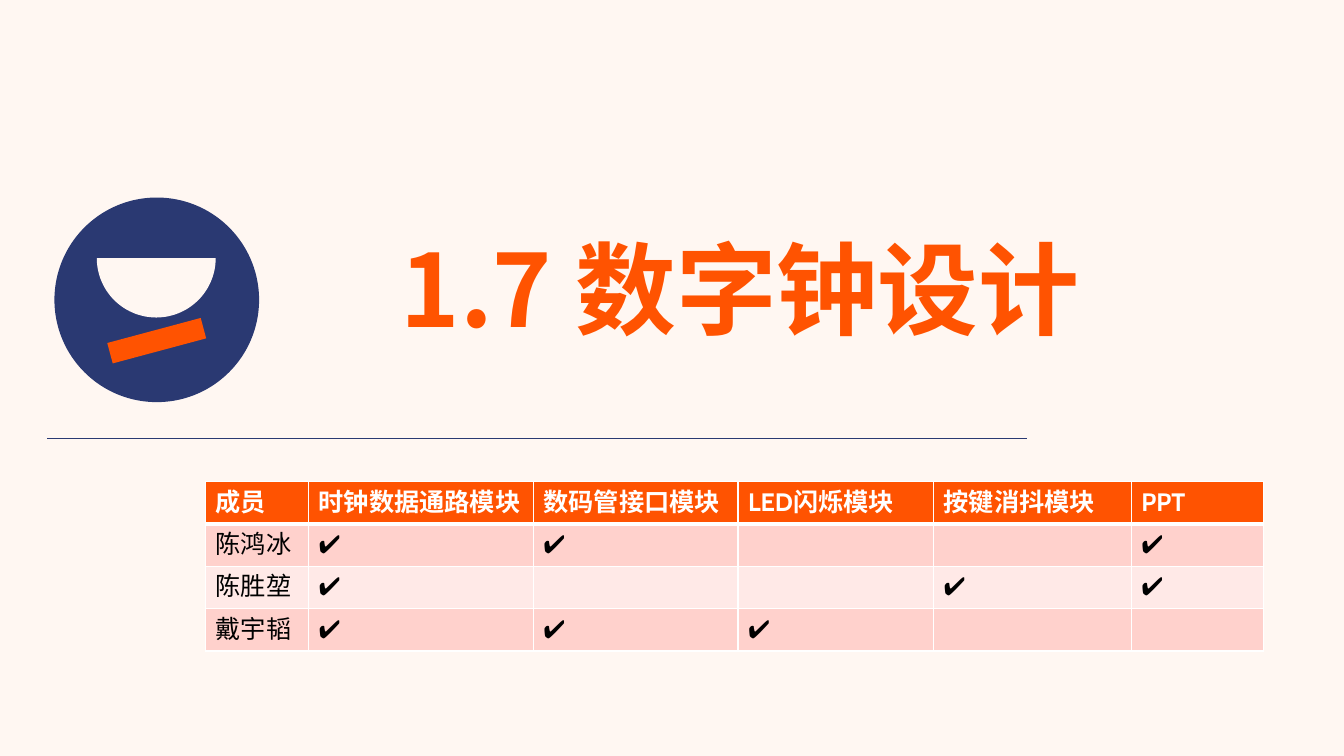
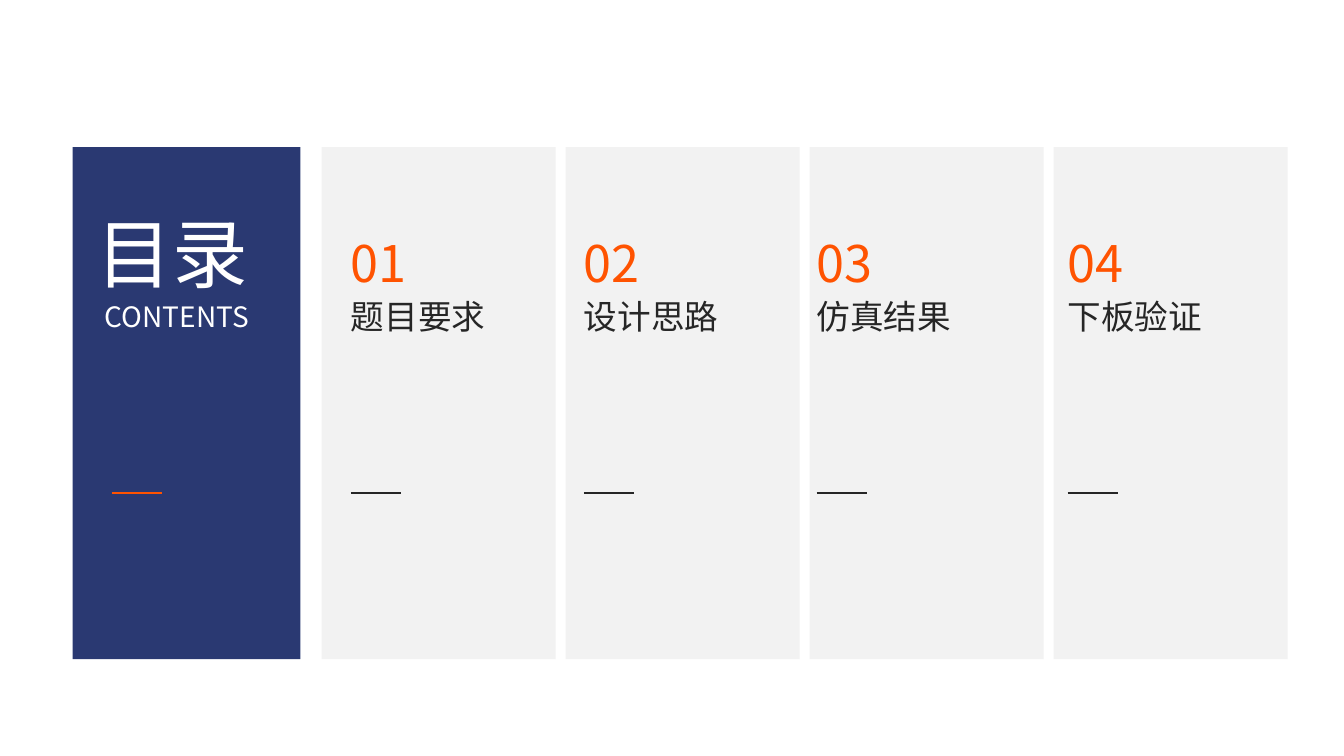
import math
from dataclasses import dataclass

import lxml.etree
import pptx
import pptx.dml.color
import pptx.enum.shapes
import pptx.enum.text
import pptx.oxml.ns
import pptx.util

Inches = pptx.util.Inches
Pt = pptx.util.Pt
qn = pptx.oxml.ns.qn
Shape = pptx.enum.shapes.MSO_SHAPE


@dataclass(frozen=True)
class Theme:
    navy: str = "2A3972"
    orange: str = "FF5301"
    cream: str = "FFF7F2"
    white: str = "FFFFFF"
    black: str = "000000"
    ink: str = "262626"
    card: str = "F2F2F2"
    bands: tuple = ("FFD1CC", "FFE9E7")
    title_font: str = "Noto Sans CJK SC"
    table_font: str = "Cabin"
    contents_font: str = "Noto Sans CJK JP"
    title_size: int = 72
    heading_size: int = 54
    number_size: int = 36
    label_size: int = 24
    caption_size: int = 20
    table_size: int = 18


THEME = Theme()

TITLE = "1.7 数字钟设计"
MODULES = ["时钟数据通路模块", "数码管接口模块", "LED闪烁模块", "按键消抖模块", "PPT"]
MEMBERS = [
    ("陈鸿冰", {0, 1, 4}),
    ("陈胜堃", {0, 3, 4}),
    ("戴宇韬", {0, 1, 2}),
]
COLUMN_WIDTHS = [1.02, 2.23, 2.03, 1.94, 1.96, 1.31]
ROW_HEIGHT = 0.42

HEADING = "目录"
CAPTION = "CONTENTS"
SECTIONS = [
    ("题目要求", 3.48),
    ("设计思路", 5.79),
    ("仿真结果", 8.1),
    ("下板验证", 10.59),
]
CARD_LEFT, CARD_TOP, CARD_WIDTH, CARD_HEIGHT, CARD_GAP = 3.19, 1.46, 2.32, 5.08, 0.1
DASH_TOP, DASH_WIDTH = 4.89, 0.5


def rgb(color):
    return pptx.dml.color.RGBColor.from_string(color)


def add_page(deck, color):
    page = deck.slides.add_slide(deck.slide_layouts[6])
    page.background.fill.solid()
    page.background.fill.fore_color.rgb = rgb(color)
    return page


def paint(shape, color):
    shape.shadow.inherit = False
    shape.fill.solid()
    shape.fill.fore_color.rgb = rgb(color)
    shape.line.fill.background()
    return shape


def add_block(page, kind, color, *bounds):
    return paint(page.shapes.add_shape(kind, *map(Inches, bounds)), color)


def add_half_disc(page, color, center_x, top, radius, steps=60):
    points = [
        (Inches(center_x + radius * math.cos(math.pi * step / steps)),
         Inches(top + radius * math.sin(math.pi * step / steps)))
        for step in range(steps + 1)
    ]
    outline = page.shapes.build_freeform(*points[0])
    outline.add_line_segments(points[1:], close=True)
    paint(outline.convert_to_shape(), color)


def add_rule(page, color, left, right, top):
    rule = page.shapes.add_connector(
        pptx.enum.shapes.MSO_CONNECTOR.STRAIGHT,
        Inches(left), Inches(top), Inches(right), Inches(top))
    rule.line.color.rgb = rgb(color)
    rule.line.width = Pt(1)
    lxml.etree.SubElement(rule._element.spPr, qn("a:effectLst"))


def style_span(span, font, size, color, bold=False):
    span.font.name = font
    span.font.size = Pt(size)
    span.font.bold = bold
    span.font.color.rgb = rgb(color)
    east_asian = lxml.etree.Element(qn("a:ea"), typeface=font)
    span._r.get_or_add_rPr().find(qn("a:latin")).addnext(east_asian)


def add_label(page, text, size, color, bounds, line_spacing=None):
    frame = page.shapes.add_textbox(*map(Inches, bounds)).text_frame
    frame.word_wrap = True
    frame.vertical_anchor = pptx.enum.text.MSO_ANCHOR.MIDDLE
    frame.margin_left = frame.margin_right = frame.margin_top = frame.margin_bottom = 0
    frame.text = text
    para = frame.paragraphs[0]
    para.line_spacing = line_spacing
    style_span(para.runs[0], THEME.contents_font, size, color)


def add_title(page):
    box = page.shapes.add_textbox(Inches(3.72), Inches(2.2), Inches(7.24), Inches(1.31))
    frame = box.text_frame
    frame.word_wrap = False
    frame.auto_size = pptx.enum.text.MSO_AUTO_SIZE.SHAPE_TO_FIT_TEXT
    frame.text = TITLE
    para = frame.paragraphs[0]
    para.alignment = pptx.enum.text.PP_ALIGN.CENTER
    style_span(para.runs[0], THEME.title_font, THEME.title_size, THEME.orange, True)


def set_borders(cell, widths):
    properties = cell._tc.get_or_add_tcPr()
    for side, width in zip("LRTB", widths):
        border = lxml.etree.SubElement(properties, qn(f"a:ln{side}"), w=str(Pt(width)))
        fill = lxml.etree.SubElement(border, qn("a:solidFill"))
        lxml.etree.SubElement(fill, qn("a:srgbClr"), val=THEME.white)


def add_member_table(page):
    rows = [["成员"] + MODULES]
    for name, tasks in MEMBERS:
        rows.append([name] + ["✔" if index in tasks else "" for index in range(len(MODULES))])
    table = page.shapes.add_table(
        len(rows), len(COLUMN_WIDTHS), Inches(2.04), Inches(4.78),
        Inches(sum(COLUMN_WIDTHS)), Inches(ROW_HEIGHT * len(rows))).table
    for column, width in zip(table.columns, COLUMN_WIDTHS):
        column.width = Inches(width)
    for row_index, row in enumerate(rows):
        table.rows[row_index].height = Inches(ROW_HEIGHT)
        header = row_index == 0
        fill = THEME.orange if header else THEME.bands[(row_index - 1) % 2]
        color = THEME.white if header else THEME.black
        widths = (1, 1, 3 if row_index == 1 else 1, 3 if header else 1)
        for column_index, text in enumerate(row):
            cell = table.cell(row_index, column_index)
            set_borders(cell, widths)
            cell.fill.solid()
            cell.fill.fore_color.rgb = rgb(fill)
            cell.text_frame.text = text
            para = cell.text_frame.paragraphs[0]
            para.font.size = Pt(THEME.table_size)
            for span in para.runs:
                style_span(span, THEME.table_font, THEME.table_size, color, header)


def build_cover(deck):
    page = add_page(deck, THEME.cream)
    add_rule(page, THEME.navy, 0.47, 10.19, 4.35)
    add_block(page, Shape.OVAL, THEME.navy, 0.54, 1.96, 2.03, 2.03)
    add_half_disc(page, THEME.cream, 1.55, 2.56, 0.59)
    bar = add_block(page, Shape.RECTANGLE, THEME.orange, 1.45, 2.9, 0.21, 0.96)
    bar.rotation = 255
    add_title(page)
    add_member_table(page)


def build_contents(deck):
    page = add_page(deck, THEME.white)
    add_block(page, Shape.RECTANGLE, THEME.navy, 0.72, CARD_TOP, 2.26, CARD_HEIGHT)
    add_label(page, HEADING, THEME.heading_size, THEME.white, (0.96, 2.05, 1.59, 0.91))
    add_label(page, CAPTION, THEME.caption_size, THEME.white, (1.04, 2.97, 1.91, 0.34))
    add_rule(page, THEME.orange, 1.11, 1.11 + DASH_WIDTH, DASH_TOP)
    for index, (name, left) in enumerate(SECTIONS):
        card_left = CARD_LEFT + index * (CARD_WIDTH + CARD_GAP)
        add_block(page, Shape.RECTANGLE, THEME.card, card_left, CARD_TOP, CARD_WIDTH, CARD_HEIGHT)
        add_label(page, f"{index + 1:02}", THEME.number_size, THEME.orange,
                  (left, 2.14, 1.3, 0.74), 1.3)
        add_label(page, name, THEME.label_size, THEME.ink, (left, 2.94, 1.58, 0.4))
        add_rule(page, THEME.ink, left, left + DASH_WIDTH, DASH_TOP)


def main():
    deck = pptx.Presentation()
    deck.slide_width = Inches(13.33)
    deck.slide_height = Inches(7.5)
    build_cover(deck)
    build_contents(deck)
    deck.save("out.pptx")


if __name__ == "__main__":
    main()
